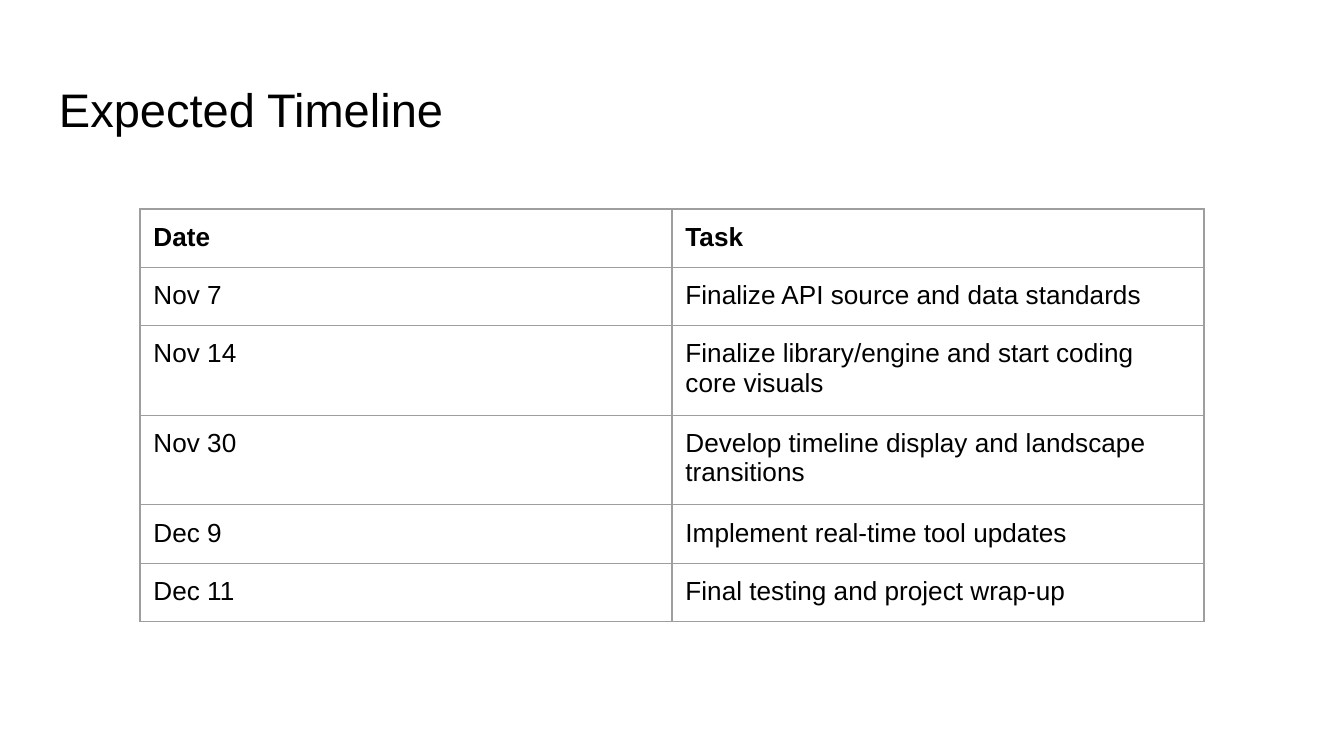
from lxml.etree import SubElement
from pptx import Presentation
from pptx.dml.color import RGBColor
from pptx.enum.text import MSO_ANCHOR
from pptx.oxml.ns import qn
from pptx.util import Pt

BLACK = RGBColor(0x00, 0x00, 0x00)
GRID_GRAY = RGBColor(0x9E, 0x9E, 0x9E)
FONT = "Arial"
INSET = Pt(7.2)
ROW_HEIGHT = 30
TIMELINE = [
    ("Date", "Task"),
    ("Nov 7", "Finalize API source and data standards"),
    ("Nov 14", "Finalize library/engine and start coding core visuals"),
    ("Nov 30", "Develop timeline display and landscape transitions"),
    ("Dec 9", "Implement real-time tool updates"),
    ("Dec 11", "Final testing and project wrap-up"),
]


def write_text(text_frame, text, size=14, bold=False, color=BLACK):
    """Put one formatted run into a text frame."""
    run = text_frame.paragraphs[0].add_run()
    run.text = text
    run.font.name = FONT
    run.font.size = Pt(size)
    run.font.bold = bold
    run.font.color.rgb = color


def set_insets(target):
    """Give a text frame or table cell equal margins."""
    target.margin_left = target.margin_right = INSET
    target.margin_top = target.margin_bottom = INSET


def set_borders(cell, color=GRID_GRAY, width=0.75):
    """Draw a solid line on all four sides of an unfilled cell."""
    properties = cell._tc.get_or_add_tcPr()
    for index, side in enumerate(("a:lnL", "a:lnR", "a:lnT", "a:lnB")):
        line = properties.makeelement(qn(side), {"w": str(Pt(width))})
        properties.insert(index, line)
        fill = SubElement(line, qn("a:solidFill"))
        SubElement(fill, qn("a:srgbClr"), val=str(color))


def add_title(slide, text, left, top, width, height):
    """Add the slide heading in the given box."""
    shape = slide.shapes.add_textbox(Pt(left), Pt(top), Pt(width), Pt(height))
    text_frame = shape.text_frame
    text_frame.word_wrap = True
    text_frame.vertical_anchor = MSO_ANCHOR.BOTTOM
    set_insets(text_frame)
    write_text(text_frame, text, size=25.2)


def add_timeline(slide, rows, left, top, width):
    """Add the table of dates and tasks with equal columns."""
    column_count = len(rows[0])
    shape = slide.shapes.add_table(
        len(rows), column_count,
        Pt(left), Pt(top), Pt(width), Pt(ROW_HEIGHT * len(rows)),
    )
    table = shape.table
    table.horz_banding = False
    for column in table.columns:
        column.width = Pt(width / column_count)
    for row_index, row in enumerate(rows):
        for column_index, text in enumerate(row):
            cell = table.cell(row_index, column_index)
            cell.fill.background()
            set_borders(cell)
            set_insets(cell)
            write_text(cell.text_frame, text, bold=row_index == 0)


def main():
    """Build and save the timeline slide."""
    presentation = Presentation()
    presentation.slide_width = Pt(720)
    presentation.slide_height = Pt(405)
    slide = presentation.slides.add_slide(presentation.slide_layouts[6])
    add_title(slide, "Expected Timeline", 24.5, 35, 671, 45.4)
    add_timeline(slide, TIMELINE, 75, 111.9, 570)
    presentation.save("out.pptx")


if __name__ == "__main__":
    main()
